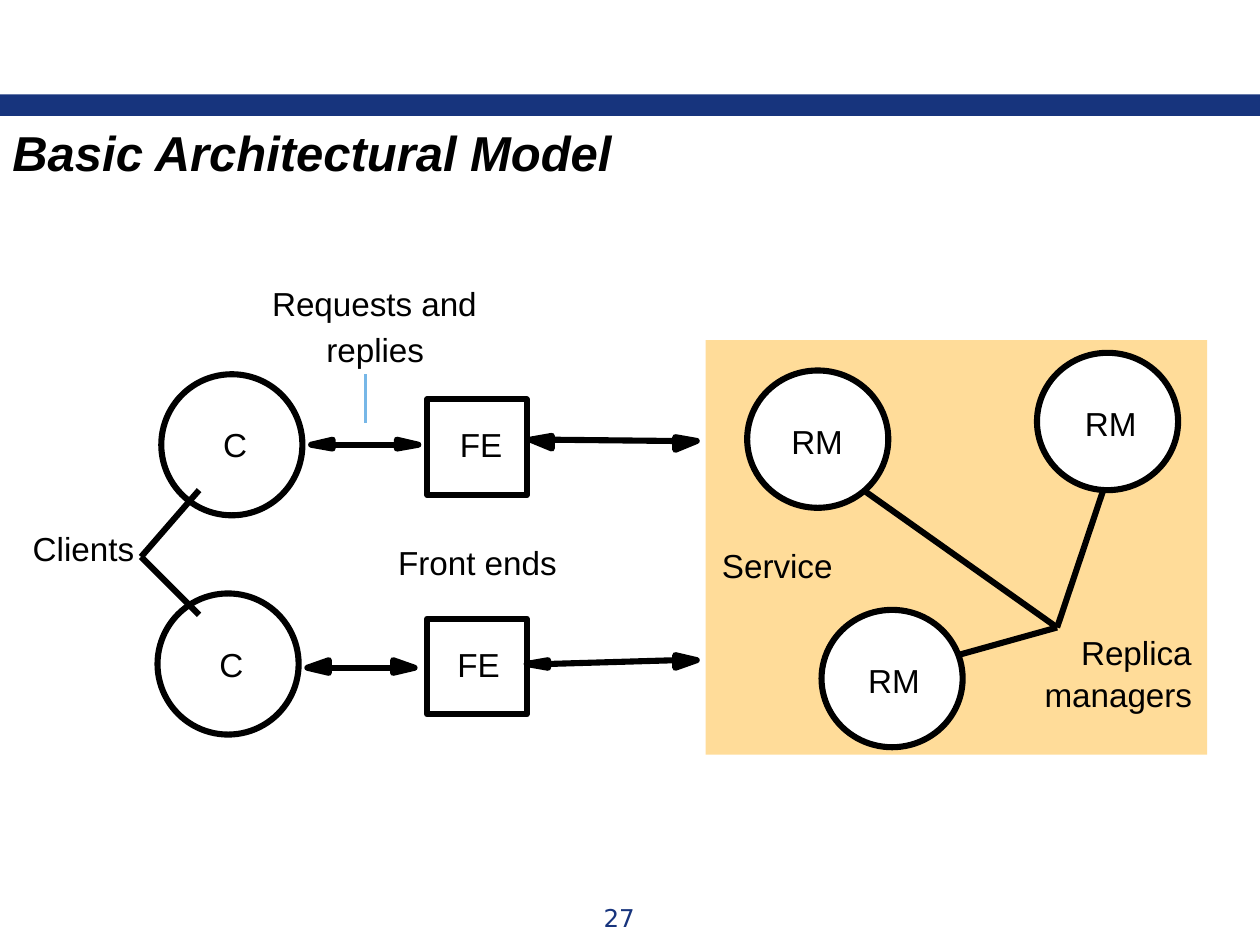
from dataclasses import dataclass

from lxml import etree
from pptx import Presentation
from pptx import util as u
from pptx.dml import color
from pptx.enum import shapes, text
from pptx.oxml import ns

Inches = u.Inches


@dataclass(frozen=True)
class Theme:
    navy: str = "17347D"
    sand: str = "FFDC99"
    sky: str = "77B7E7"
    white: str = "FFFFFF"
    black: str = "000000"
    stroke: float = 3.5
    thin: float = 1.5
    label = {"name": "Arial", "size": u.Pt(19)}
    title = {"name": "Arial", "size": u.Pt(28), "bold": True, "italic": True}
    number = {"name": "DejaVu Sans", "size": u.Pt(14)}


THEME = Theme()
OVAL, RECT = shapes.MSO_SHAPE.OVAL, shapes.MSO_SHAPE.RECTANGLE
HEAD = 0.17  # arrowhead length


def rgb(value):
    return color.RGBColor.from_string(value)


def paint(shape, fill=None, line=None):
    shape.shadow.inherit = False
    if fill:
        shape.fill.solid()
        shape.fill.fore_color.rgb = rgb(fill)
    else:
        shape.fill.background()
    if line:
        shape.line.color.rgb = rgb(line)
        shape.line.width = u.Pt(THEME.stroke)
    else:
        shape.line.fill.background()


def add_block(slide, kind, box, fill=None, line=None):
    block = slide.shapes.add_shape(kind, *map(Inches, box))
    paint(block, fill, line)


def add_text(slide, words, box, style=THEME.label, ink=THEME.black, inset=0, **frame_format):
    frame = slide.shapes.add_textbox(*map(Inches, box)).text_frame
    settings = {"word_wrap": False, "auto_size": text.MSO_AUTO_SIZE.SHAPE_TO_FIT_TEXT}
    for side in ("left", "top", "right", "bottom"):
        settings["margin_" + side] = Inches(inset / 2 if side in ("top", "bottom") else inset)
    for name, value in {**settings, **frame_format}.items():
        setattr(frame, name, value)
    paragraph = frame.paragraphs[0]
    run = paragraph.add_run()
    run.text = words
    for name, value in style.items():
        setattr(run.font, name, value)
    run.font.color.rgb = rgb(ink)
    return paragraph


def add_line(slide, start, end, ink=THEME.black, width=THEME.stroke):
    line = slide.shapes.add_connector(
        shapes.MSO_CONNECTOR.STRAIGHT, *map(Inches, (*start, *end)))
    line.line.color.rgb = rgb(ink)
    line.line.width = u.Pt(width)
    etree.SubElement(line._element.spPr, ns.qn("a:effectLst"))


def add_head(slide, base, tip, y, wings):
    up, down = wings
    builder = slide.shapes.build_freeform(Inches(base), Inches(y))
    outline = [(base, y - up), (tip, y), (base, y + down)]
    builder.add_line_segments([(Inches(px), Inches(py)) for px, py in outline], close=True)
    paint(builder.convert_to_shape(), THEME.black, THEME.black)


def add_double_arrow(slide, start, end, start_wings, end_wings):
    (x1, y1), (x2, y2) = start, end
    add_head(slide, x1 + HEAD, x1, y1, start_wings)
    add_head(slide, x2 - HEAD, x2, y2, end_wings)
    add_line(slide, (x1 + HEAD, y1), (x2 - HEAD, y2))


def add_header(slide, left, top, width):
    add_block(slide, RECT, (left, top, width, 0.17), THEME.navy)
    add_text(slide, "Basic Architectural Model", (left, top + 0.17, 5.02, 0.57),
             THEME.title, inset=0.1)


def add_page_number(slide, left, top, width, height):
    number = add_text(slide, "27", (left, top, width, height), THEME.number, THEME.navy,
                      inset=0.1, word_wrap=True, auto_size=text.MSO_AUTO_SIZE.NONE)
    number.alignment = text.PP_ALIGN.CENTER


def add_client_row(slide, left, top, client_x, fe_label_x, arrows):
    # Client
    add_block(slide, OVAL, (left + client_x, top, 1.12, 1.12), line=THEME.black)
    add_text(slide, "C", (left + client_x + 0.49, top + 0.4, 0.19, 0.32))
    # Front end
    add_block(slide, RECT, (left + 2.14, top + 0.2, 0.79, 0.76), THEME.white, THEME.black)
    add_text(slide, "FE", (left + fe_label_x, top + 0.4, 0.34, 0.32))
    # Messages to the front end and on to the service
    for (x1, y1), (x2, y2), *wings in arrows:
        add_double_arrow(slide, (left + x1, top + y1), (left + x2, top + y2), *wings)


def add_callouts(slide, left, top):
    # Requests and replies
    add_text(slide, "Requests and", (left + 1.9, top, 1.63, 0.32))
    add_text(slide, "replies", (left + 2.33, top + 0.36, 0.78, 0.32))
    add_line(slide, (left + 2.64, top + 0.72), (left + 2.64, top + 1.11), THEME.sky, THEME.thin)
    # Clients and front ends
    add_text(slide, "Clients", (left, top + 1.94, 0.81, 0.32))
    for client_y in (1.64, 2.63):
        add_line(slide, (left + 0.86, top + 2.17), (left + 1.32, top + client_y))
    add_text(slide, "Front ends", (left + 2.9, top + 2.05, 1.27, 0.32))


def add_service(slide, left, top, width, height):
    add_block(slide, RECT, (left, top, width, height), THEME.sand)
    # Pointers from the caption to each replica manager
    for x, y in ((3.19, 1.09), (1.21, 1.16), (2, 2.5)):
        add_line(slide, (left + 2.79, top + 2.28), (left + x, top + y))
    # Replica managers
    for x, y, label_x in ((0.33, 0.24, 0.35), (0.92, 2.14, 0.37), (2.63, 0.1, 0.38)):
        add_block(slide, OVAL, (left + x, top + y, 1.12, 1.09), THEME.white, THEME.black)
        add_text(slide, "RM", (left + x + label_x, top + y + 0.4, 0.41, 0.32))
    # Captions
    for words, x, y, w in (("Service", 0.13, 1.63, 0.88), ("Replica", 2.98, 2.32, 0.88),
                           ("managers", 2.69, 2.65, 1.18)):
        add_text(slide, words, (left + x, top + y, w, 0.32))


def main():
    deck = Presentation()
    deck.slide_width, deck.slide_height = Inches(10), Inches(7.5)
    slide = deck.slides.add_slide(deck.slide_layouts[6])

    add_header(slide, 0, 0.75, 10)
    add_service(slide, 5.6, 2.7, 3.98, 3.29)
    # Arrows: start, end, then (up, down) wings of the start and end heads
    upper_arrows = [((1.22, 0.56), (2.07, 0.56), (0.04, 0.03), (0.04, 0.03)),
                    ((2.96, 0.52), (4.28, 0.53), (0.03, 0.07), (0.03, 0.07))]
    lower_arrows = [((1.19, 0.59), (2.04, 0.59), (0.06, 0.04), (0.06, 0.04)),
                    ((2.93, 0.56), (4.28, 0.53), (0.03, 0.03), (0.04, 0.06))]
    add_client_row(slide, 1.25, 2.97, 0.03, 2.4, upper_arrows)
    add_client_row(slide, 1.25, 4.71, 0, 2.38, lower_arrows)
    add_callouts(slide, 0.26, 2.25)
    add_page_number(slide, 3.75, 7.12, 2.33, 0.34)

    deck.save("out.pptx")


if __name__ == "__main__":
    main()
